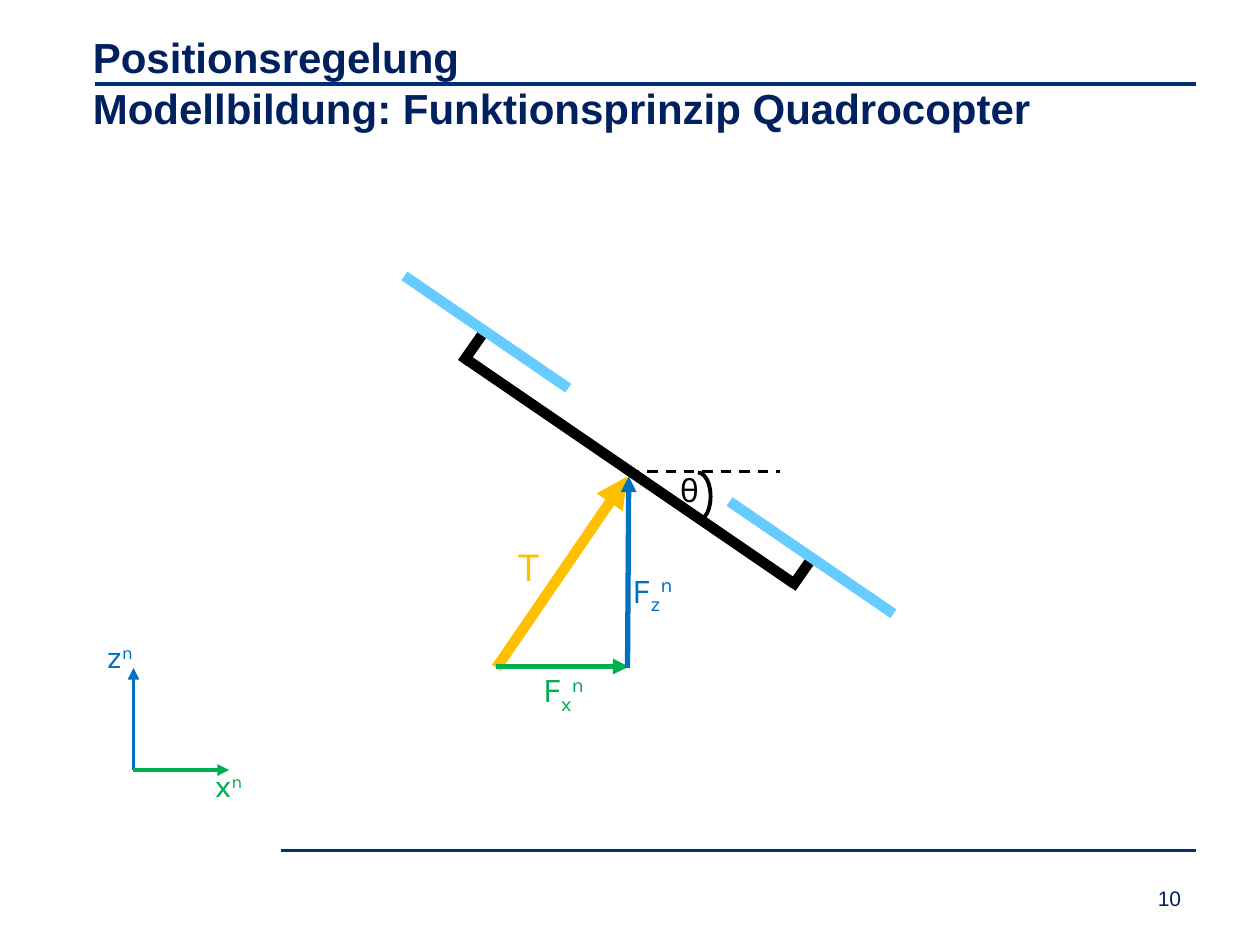
from pptx import Presentation
from pptx.dml.color import RGBColor
from pptx.enum.dml import MSO_LINE
from pptx.enum.shapes import MSO_CONNECTOR, MSO_SHAPE
from pptx.enum.text import MSO_ANCHOR, MSO_AUTO_SIZE
from pptx.oxml.ns import qn
from pptx.util import Pt
from lxml.etree import SubElement

NAVY = RGBColor(0x00, 0x20, 0x60)
RULE_BLUE = RGBColor(0x00, 0x31, 0x73)
BLACK = RGBColor(0x00, 0x00, 0x00)
SKY = RGBColor(0x66, 0xCC, 0xFF)
GOLD = RGBColor(0xFF, 0xC0, 0x00)
GREEN = RGBColor(0x00, 0xB0, 0x50)
BLUE = RGBColor(0x00, 0x70, 0xC0)

SUPERSCRIPT, SUBSCRIPT = "30000", "-25000"


def add_line(shapes, start, end, color, width, arrow=False):
    """Draw a straight line; an arrowhead sits at its end."""
    line = shapes.add_connector(
        MSO_CONNECTOR.STRAIGHT, *(Pt(value) for value in (*start, *end)))
    line.line.color.rgb = color
    line.line.width = Pt(width)
    if arrow:
        SubElement(line.line._get_or_add_ln(), qn("a:tailEnd"), type="triangle")
    SubElement(line._element.spPr, qn("a:effectLst"))
    return line


def add_text(shapes, box, parts, size, color, font="Karla", wrap=True):
    """Write one paragraph from (text, baseline) parts."""
    text_box = shapes.add_textbox(*(Pt(value) for value in box))
    text_frame = text_box.text_frame
    text_frame.word_wrap = wrap
    text_frame.auto_size = MSO_AUTO_SIZE.NONE
    paragraph = text_frame.paragraphs[0]
    for text, baseline in parts:
        run = paragraph.add_run()
        run.text = text
        run.font.name = font
        run.font.size = Pt(size)
        run.font.color.rgb = color
        if baseline:
            run.font._element.set("baseline", baseline)
    return text_box


def add_title(shapes, text):
    title = shapes.add_textbox(Pt(46), Pt(16), Pt(648), Pt(62))
    title.text_frame.word_wrap = True
    title.text_frame.vertical_anchor = MSO_ANCHOR.MIDDLE
    paragraph = title.text_frame.paragraphs[0]
    paragraph.text = text
    for run in paragraph.runs:
        run.font.name = "Arial"
        run.font.size = Pt(24)
        run.font.bold = True
        run.font.color.rgb = NAVY


def add_angle_arc(shapes):
    arc = shapes.add_shape(MSO_SHAPE.ARC, Pt(391.7), Pt(270), Pt(14.4), Pt(27.4))
    arc.shadow.inherit = False
    arc.fill.background()
    arc.line.color.rgb = BLACK
    arc.line.width = Pt(2.25)
    arc.adjustments[0] = 162
    arc.adjustments[1] = 55.6


def add_shifted_pair(shapes, start, end, shift, color):
    """Draw the same part on both ends of the arm."""
    for side in (0, 1):
        offset = [side * step for step in shift]
        add_line(shapes,
                 [a + b for a, b in zip(start, offset)],
                 [a + b for a, b in zip(end, offset)], color, 6)


def add_axes(shapes):
    group = shapes.add_group_shape().shapes
    origin = (76.3, 440)
    add_line(group, origin, (76.3, 381.6), BLUE, 2.25, arrow=True)
    add_line(group, origin, (131, 440), GREEN, 2.25, arrow=True)
    for name, left, top, color in (("x", 115.9, 434.2, GREEN),
                                   ("z", 54, 360.7, BLUE)):
        add_text(group, (left, top, 73.4, 29),
                 [(name, None), ("n", SUPERSCRIPT)], 18, color)


def add_forces(shapes):
    add_line(shapes, (283.7, 380.9), (359.3, 380.9), GREEN, 3, arrow=True)
    add_line(shapes, (358.6, 381.6), (359.3, 272.2), BLUE, 3, arrow=True)
    for name, left, top, color in (("x", 303.1, 378, GREEN),
                                   ("z", 354.2, 321.1, BLUE)):
        add_text(shapes, (left, top, 73.4, 31.7),
                 [("F", None), (name, SUBSCRIPT), ("n", SUPERSCRIPT)], 20, color)


def add_copter(shapes):
    group = shapes.add_group_shape().shapes
    add_line(group, (266.4, 205.2), (453.6, 333.4), BLACK, 6)
    add_shifted_pair(group, (264.2, 207.4), (275.8, 190.8), (188, 128.5), BLACK)
    add_line(group, (283.7, 381.6), (358.6, 272.2), GOLD, 6, arrow=True)
    add_text(group, (289.4, 304.6, 28, 36), [("T", None)], 24, GOLD, wrap=False)


def main():
    presentation = Presentation()
    presentation.slide_width, presentation.slide_height = Pt(720), Pt(540)
    slide = presentation.slides.add_slide(presentation.slide_layouts[6])
    shapes = slide.shapes

    # Frame: rules, page number and title
    add_line(shapes, (54, 48.2), (683.3, 48.2), RULE_BLUE, 2.25)
    add_text(shapes, (654.5, 502.6, 51, 21.6), [("10", None)], 12, NAVY, "Arial")
    add_line(shapes, (160.6, 486), (683.3, 486), RULE_BLUE, 2.25)
    add_title(shapes, "Positionsregelung\v"
                      "Modellbildung: Funktionsprinzip Quadrocopter")

    # Tilted copter with thrust, force components and axes
    add_copter(shapes)
    add_forces(shapes)
    add_axes(shapes)

    # Tilt angle against the horizontal
    horizon = add_line(shapes, (359.3, 269.3), (445.7, 269.3), BLACK, 1.5)
    horizon.line.dash_style = MSO_LINE.DASH
    add_angle_arc(shapes)
    add_text(shapes, (381.6, 265.7, 33.8, 29), [("θ", None)], 18, BLACK)

    # Rotors
    add_shifted_pair(shapes, (231.1, 157.7), (324.7, 221.8), (185.8, 128.9), SKY)

    presentation.save("out.pptx")


if __name__ == "__main__":
    main()
